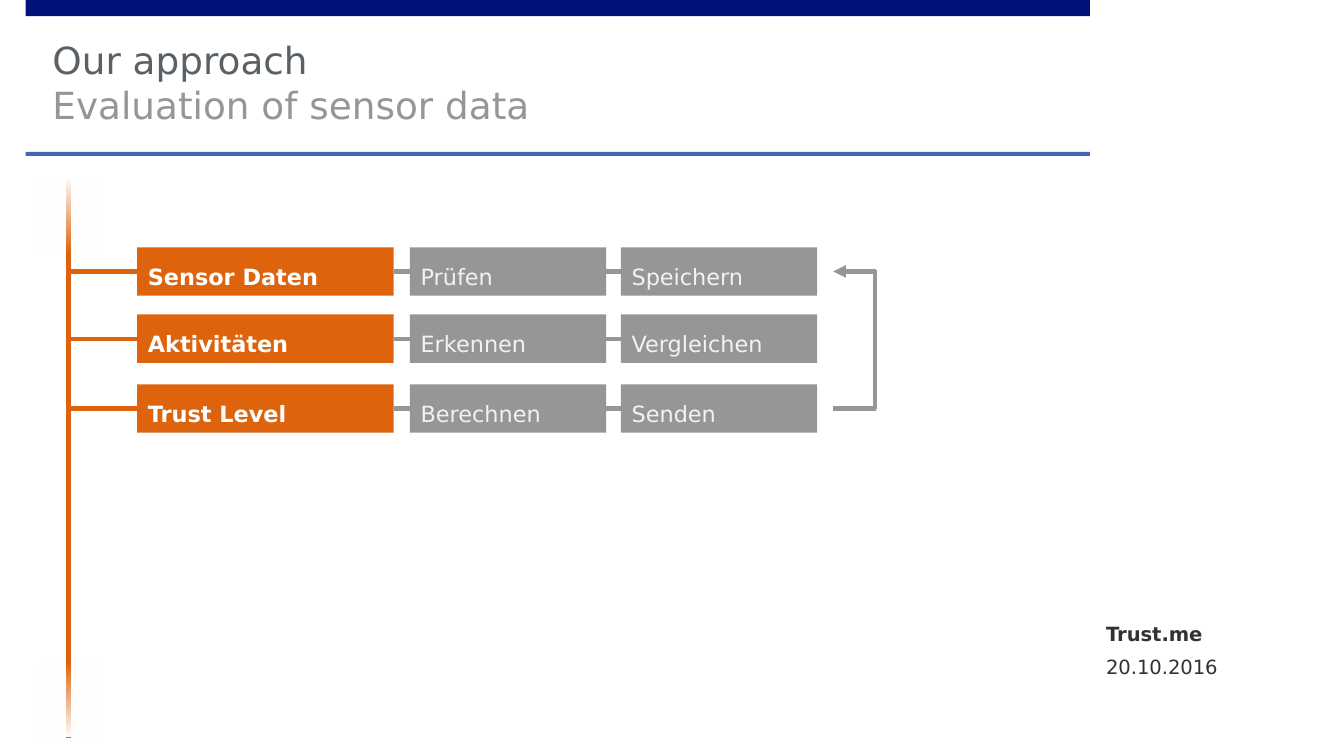
from pptx import Presentation
from pptx.dml.color import RGBColor
from pptx.enum import shapes, text
from pptx.oxml import ns, xmlchemy
from pptx.util import Inches, Pt

FONT = "DejaVu Sans"
HUE = {"navy": "001279", "blue": "4066B3", "orange": "DD640C", "grey": "969696",
       "slate": "5A6166", "ink": "323232", "white": "FFFFFF", "pale": "F2F2F2"}
RGB = {name: RGBColor.from_string(code) for name, code in HUE.items()}

# Widescreen slide, 16 to 9
prs = Presentation()
prs.slide_width = Inches(10)
prs.slide_height = Inches(10 * 9 / 16)
slide = prs.slides.add_slide(prs.slide_layouts[5])


def add_box(x, y, w, h, hue):
    box = slide.shapes.add_shape(shapes.MSO_SHAPE.RECTANGLE,
                                 Inches(x), Inches(y), Inches(w), Inches(h))
    box.shadow.inherit = False
    box.line.fill.background()
    box.fill.solid()
    box.fill.fore_color.rgb = RGB[hue]
    return box


def add_line(x1, y1, x2, y2, hue):
    line = slide.shapes.add_connector(shapes.MSO_CONNECTOR.STRAIGHT,
                                      Inches(x1), Inches(y1), Inches(x2), Inches(y2))
    line.line.color.rgb = RGB[hue]
    line.line.width = Pt(2.25)
    line._element.spPr.append(xmlchemy.OxmlElement("a:effectLst"))
    return line


# Header bands
add_box(0.19, 0, 7.92, 0.12, "navy")
add_box(0.19, 1.13, 7.92, 0.03, "blue")

# Title
title = slide.shapes.title
title.left, title.top = Inches(0.39), Inches(0.12)
title.width, title.height = Inches(7.52), Inches(1.01)
frame = title.text_frame
frame.margin_left = frame.margin_right = frame.margin_bottom = 0
frame.margin_top = Inches(0.16)
frame.vertical_anchor = text.MSO_ANCHOR.TOP
frame.auto_size = text.MSO_AUTO_SIZE.NONE
frame.word_wrap = True
para = frame.paragraphs[0]
para.alignment = text.PP_ALIGN.LEFT
para.font.name, para.font.size = FONT, Pt(20)
head = para.add_run()
head.text = "Our approach"
head.font.color.rgb = RGB["slate"]
para.add_line_break()
sub = para.add_run()
sub.text = "Evaluation of sensor data"
sub.font.color.rgb = RGB["grey"]

# Trunk, faded to white at both ends
trunk = 0.51
add_line(trunk, 1.32, trunk, 5.49, "orange")
for y, turn in ((1.36, 90), (4.97, 270)):
    fade = add_box(0.24, y, 0.55, 0.47, "white")
    fade.rotation = turn
    fade.fill.gradient()
    fade.fill.gradient_angle = 0
    for stop in fade.fill.gradient_stops:
        stop.color.rgb = RGB["white"]
    clear = list(fade._element.spPr.iter(ns.qn("a:srgbClr")))[-1]
    alpha = xmlchemy.OxmlElement("a:alpha")
    alpha.set("val", "0")
    clear.append(alpha)

# Rows of steps, each joined to the one before
cols = ((1.02, 1.91), (3.05, 1.46), (4.62, 1.46))
rows = ((1.84, ("Sensor Daten", "Prüfen", "Speichern")),
        (2.34, ("Aktivitäten", "Erkennen", "Vergleichen")),
        (2.86, ("Trust Level", "Berechnen", "Senden")))
tall = 0.36
for y, words in rows:
    mid = y + tall / 2
    last = None
    for (x, w), word in zip(cols, words):
        first = last is None
        hue = "orange" if first else "grey"
        box = add_box(x, y, w, tall, hue)
        frame = box.text_frame
        frame.word_wrap = True
        frame.vertical_anchor = text.MSO_ANCHOR.TOP
        frame.margin_left = frame.margin_right = Inches(0.08)
        frame.margin_top = frame.margin_bottom = Inches(0.04)
        para = frame.paragraphs[0]
        para.text = word
        para.alignment = text.PP_ALIGN.LEFT
        para.line_spacing = Pt(20)
        para.font.name, para.font.size = FONT, Pt(12)
        para.font.bold = first
        para.font.color.rgb = RGB["white" if first else "pale"]
        link = add_line(trunk, mid, x, mid, hue)
        if last is not None:
            link.begin_connect(last, 3)
        link.end_connect(box, 1)
        last = box

# Loop back from the last row to the first
add_line(6.51, 2.01, 6.51, 3.04, "grey")
add_line(6.2, 3.04, 6.52, 3.04, "grey")
back = add_line(6.52, 2.02, 6.2, 2.02, "grey")
tip = xmlchemy.OxmlElement("a:tailEnd")
tip.set("type", "triangle")
back.get_or_add_ln().append(tip)

# Project name and date
for y, h, word, bold, anchor in (
        (4.23, 0.57, "Trust.me", True, text.MSO_ANCHOR.BOTTOM),
        (4.87, 0.19, "20.10.2016", False, text.MSO_ANCHOR.TOP)):
    note = slide.shapes.add_textbox(Inches(8.11), Inches(y), Inches(1.69), Inches(h))
    frame = note.text_frame
    frame.word_wrap = True
    frame.vertical_anchor = anchor
    frame.margin_left = Inches(0.12)
    frame.margin_right = frame.margin_top = frame.margin_bottom = 0
    para = frame.paragraphs[0]
    para.text = word
    para.font.name, para.font.size = FONT, Pt(10.5)
    para.font.bold = bold
    para.font.color.rgb = RGB["ink"]

prs.save("out.pptx")
